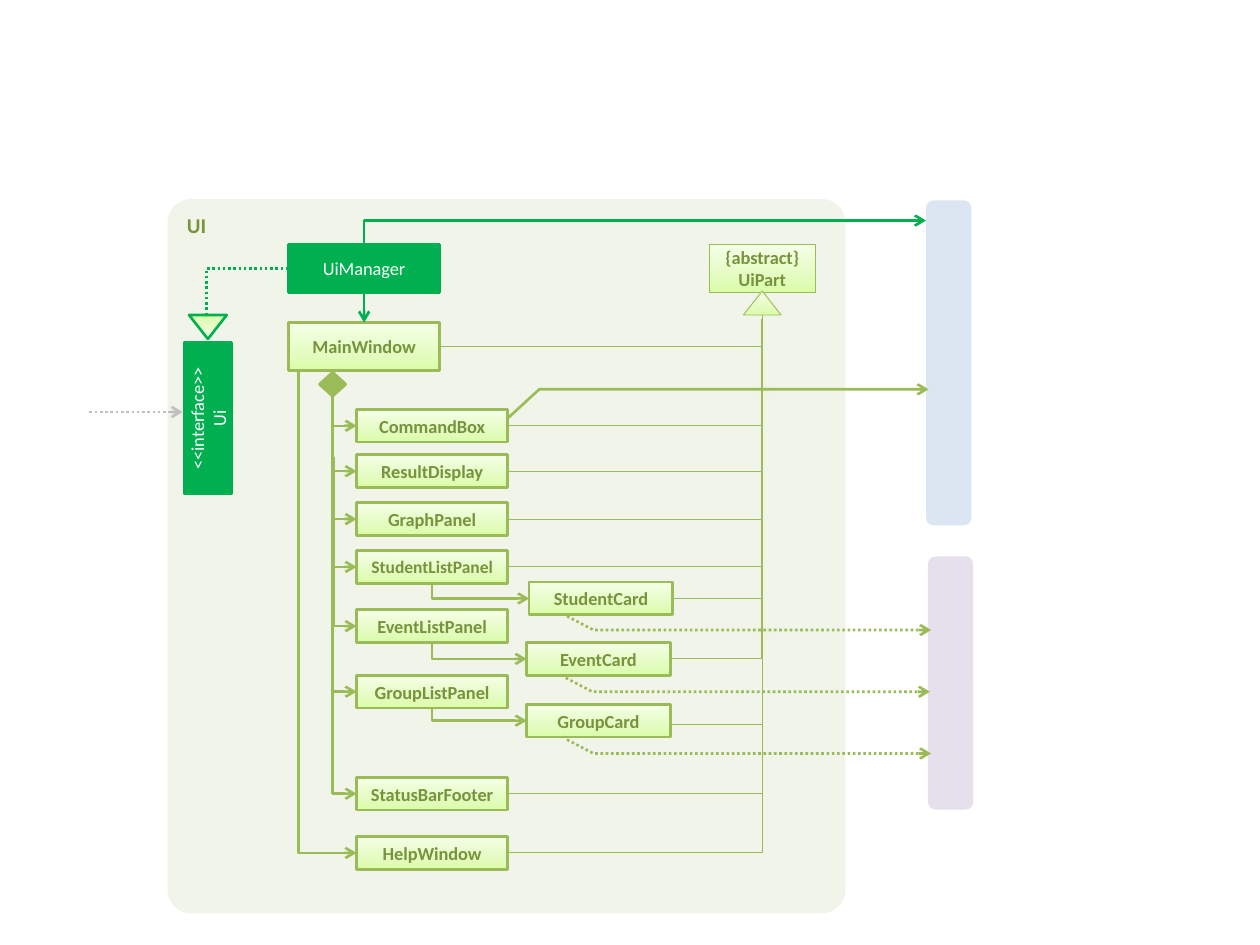
from copy import deepcopy
from dataclasses import dataclass

from lxml.etree import SubElement
from pptx import Presentation
from pptx.dml.color import RGBColor
from pptx.enum.dml import MSO_LINE
from pptx.enum.shapes import MSO_CONNECTOR, MSO_SHAPE
from pptx.enum.text import MSO_ANCHOR, PP_ALIGN
from pptx.oxml.ns import qn
from pptx.util import Inches, Pt


@dataclass(frozen=True)
class Theme:
    font: str = "Calibri"
    title: float = 12
    body: float = 10.5
    small: float = 10
    thick: float = 1.5
    thin: float = 0.5
    white: str = "FFFFFF"
    green: str = "00B050"
    olive: str = "9BBB59"
    dark: str = "77933C"
    gray: str = "BFBFBF"
    panel: str = "F1F5E9"
    veil: str = "EBF1DE"
    logic: str = "DCE6F2"
    model: str = "E6E0EC"
    gradient: tuple = ((0, "DAFDA7"), (0.35, "E4FCC2"), (1, "F5FFE7"))


T = Theme()
TRUNK_X, TRUNK_TOP = 2.64, 3.14
BUS_X, BUS_TOP = 6.05, 2.5
PANEL_X, PANEL_W, ROW_H = 2.83, 1.2, 0.26
CARD_W = 1.14


class Diagram:
    def __init__(self, theme, slide):
        self.t = theme
        self.s = slide

    def shape(self, kind, x, y, w, h, fill=None, line=None, width=None, rot=0):
        """Add a preset shape; without a fill colour it takes the theme gradient."""
        sp = self.s.shapes.add_shape(kind, Inches(x), Inches(y), Inches(w), Inches(h))
        sp.shadow.inherit = False
        sp.rotation = rot
        if fill:
            sp.fill.solid()
            sp.fill.fore_color.rgb = RGBColor.from_string(fill)
        else:
            self.gradient(sp)
        if line:
            sp.line.color.rgb = RGBColor.from_string(line)
            sp.line.width = Pt(width or self.t.thick)
        else:
            sp.line.fill.background()
        return sp

    def gradient(self, sp):
        sp.fill.gradient()
        sp.fill.gradient_angle = 90
        stops = sp._element.spPr.find(".//" + qn("a:gsLst"))
        stops.insert(1, deepcopy(stops[0]))
        for stop, (position, color) in zip(sp.fill.gradient_stops, self.t.gradient):
            stop.color.rgb = RGBColor.from_string(color)
            stop.position = position

    def text(self, sp, text, color, size=None, bold=True, centered=True):
        tf = sp.text_frame
        tf.word_wrap = True
        tf.text = text
        tf.vertical_anchor = MSO_ANCHOR.MIDDLE if centered else MSO_ANCHOR.TOP
        if centered:
            tf.margin_left = tf.margin_right = 0
        for p in tf.paragraphs:
            p.alignment = PP_ALIGN.CENTER if centered else PP_ALIGN.LEFT
            p.font.name = self.t.font
            p.font.size = Pt(size or self.t.body)
            p.font.bold = bold
            p.font.color.rgb = RGBColor.from_string(color)

    def box(self, text, x, y, w, h=ROW_H, size=None, width=None):
        sp = self.shape(MSO_SHAPE.RECTANGLE, x, y, w, h, line=self.t.olive, width=width)
        self.text(sp, text, self.t.dark, size)
        return sp

    def solid_box(self, text, x, y, w, h, rot=0):
        sp = self.shape(MSO_SHAPE.RECTANGLE, x, y, w, h, self.t.green, self.t.green, rot=rot)
        self.text(sp, text, self.t.white, bold=False)
        return sp

    def side_bar(self, x, y, w, h, fill):
        self.shape(MSO_SHAPE.ROUNDED_RECTANGLE, x, y, w, h, fill, rot=270)

    def veil(self, x, y, w, h):
        """Add a translucent patch with soft edges."""
        sp = self.shape(MSO_SHAPE.RECTANGLE, x, y, w, h, self.t.veil)
        spPr = sp._element.spPr
        SubElement(spPr.find(".//" + qn("a:srgbClr")), qn("a:alpha"), val="80000")
        SubElement(spPr.find(qn("a:effectLst")), qn("a:softEdge"), rad=str(Inches(0.05)))

    def stroke(self, sp, color, width=None, dotted=False, arrow=None):
        """Style a line; arrow is None, "headEnd" or "tailEnd"."""
        sp.line.color.rgb = RGBColor.from_string(color)
        sp.line.width = Pt(width or self.t.thick)
        if dotted:
            sp.line.dash_style = MSO_LINE.ROUND_DOT
        spPr = sp._element.spPr
        if arrow:
            SubElement(spPr.find(qn("a:ln")), qn(f"a:{arrow}"), type="arrow")
        if spPr.find(qn("a:effectLst")) is None:
            SubElement(spPr, qn("a:effectLst"))

    def straight(self, start, end, color, **style):
        cx = self.s.shapes.add_connector(
            MSO_CONNECTOR.STRAIGHT, *(Inches(v) for v in (*start, *end)))
        self.stroke(cx, color, **style)
        return cx

    def elbow(self, start, end, color, **style):
        """Run horizontally from start, then vertically to end."""
        cx = self.s.shapes.add_connector(
            MSO_CONNECTOR.ELBOW, *(Inches(v) for v in (*start, *end)))
        cx._element.spPr.find(qn("a:prstGeom")).set("prst", "bentConnector2")
        self.stroke(cx, color, **style)

    def route(self, points, dotted=False):
        first, *rest = [(Inches(x), Inches(y)) for x, y in points]
        builder = self.s.shapes.build_freeform(*first)
        builder.add_line_segments(rest, close=False)
        sp = builder.convert_to_shape()
        sp.fill.background()
        self.stroke(sp, self.t.olive, dotted=dotted, arrow="tailEnd")

    def inherit(self, x, y, bus=(BUS_X, BUS_TOP)):
        self.elbow((x, y), bus, self.t.olive, width=self.t.thin)

    def panel(self, name, y, trunk=(TRUNK_X, TRUNK_TOP), size=None):
        self.box(name, PANEL_X, y, PANEL_W, size=size)
        self.elbow((PANEL_X, y + ROW_H / 2), trunk, self.t.olive, arrow="headEnd")

    def card(self, name, x, y, panel_y, bus=(BUS_X, BUS_TOP), drop=0):
        """Add a card with the arrow from its panel and its line to UiPart."""
        mid = y + ROW_H / 2
        self.box(name, x, y, CARD_W)
        self.elbow((x, mid), (PANEL_X + PANEL_W / 2, panel_y + ROW_H), self.t.olive, arrow="headEnd")
        self.inherit(x + CARD_W, mid + drop, bus)

    def model_arrow(self, x, y):
        self.route([(x, y), (x + 0.21, y + 0.11), (x + 2.89, y + 0.11)], dotted=True)


def main():
    prs = Presentation()
    prs.slide_width, prs.slide_height = Inches(10), Inches(7.5)
    d = Diagram(T, prs.slides.add_slide(prs.slide_layouts[6]))

    frame = d.shape(MSO_SHAPE.ROUNDED_RECTANGLE, 1.33, 1.58, 5.38, 5.67, T.panel)
    frame.adjustments[0] = 0.035
    d.text(frame, "UI", T.dark, T.title, centered=False)
    d.side_bar(6.24, 2.7, 2.58, 0.36, T.logic)
    d.side_bar(6.54, 5.24, 2.01, 0.36, T.model)

    window = d.box("MainWindow", 2.29, 2.56, 1.2, 0.38)
    manager = d.solid_box("UiManager", 2.29, 1.94, 1.2, 0.38)
    creates = d.straight((2.89, 2.32), (2.89, 2.56), T.green, arrow="tailEnd")
    creates.begin_connect(manager, 2)
    creates.end_connect(window, 0)
    d.elbow((7.35, 1.75), (2.89, 1.94), T.green, arrow="headEnd")

    d.solid_box("<<interface>>\nUi", 1.05, 3.13, 1.2, 0.38, rot=270)
    d.shape(MSO_SHAPE.ISOSCELES_TRIANGLE, 1.5, 2.5, 0.3, 0.19, line=T.green, rot=180)
    d.elbow((2.29, 2.13), (1.64, 2.5), T.green, dotted=True)
    d.straight((0.71, 3.27), (1.45, 3.27), T.gray, dotted=True, arrow="tailEnd")

    d.box("{abstract}\vUiPart", 5.63, 1.94, 0.84, 0.38, width=T.thin)
    d.shape(MSO_SHAPE.ISOSCELES_TRIANGLE, 5.9, 2.31, 0.3, 0.19, line=T.olive, width=T.thin)
    d.shape(MSO_SHAPE.FLOWCHART_DECISION, 2.54, 2.96, 0.2, 0.18, T.olive, T.olive, 2)
    d.inherit(3.49, 2.75)

    for name, y, style in (
        ("CommandBox", 3.25, {}),
        ("ResultDisplay", 3.61, {}),
        ("GraphPanel", 3.99, {}),
        ("StudentListPanel", 4.37, {"size": T.small}),
        ("StatusBarFooter", 6.17, {}),
        ("HelpWindow", 6.64, {"trunk": (2.37, 2.94)}),
    ):
        d.panel(name, y, **style)
        d.inherit(PANEL_X + PANEL_W, y + ROW_H / 2)
    d.card("StudentCard", 4.2, 4.62, 4.37)

    for y in (3, 4.91):
        d.veil(5.94, y, 0.25, 0.18)
    d.route([(4.03, 3.32), (4.28, 3.09), (7.37, 3.09)])

    d.panel("EventListPanel", 4.84, trunk=(2.65, 3.63))
    d.card("EventCard", 4.18, 5.1, 4.84, bus=(6.04, 2.53))
    d.panel("GroupListPanel", 5.36, trunk=(TRUNK_X, 4.18))
    d.card("GroupCard", 4.18, 5.59, 5.36, bus=(BUS_X, 2.83), drop=0.03)
    for x, y in ((4.5, 4.89), (4.49, 5.38), (4.5, 5.87)):
        d.model_arrow(x, y)

    prs.save("out.pptx")


if __name__ == "__main__":
    main()
